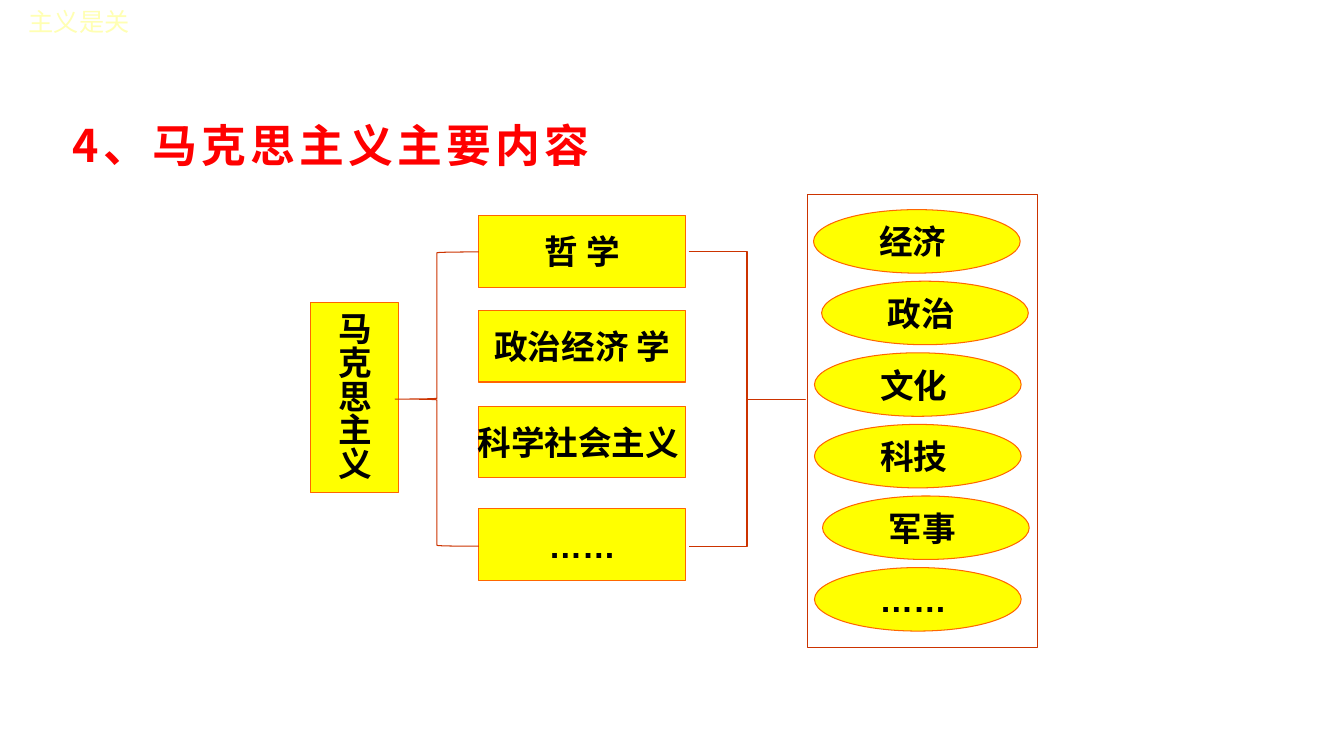
"""Build a slide that maps the main contents of Marxism."""
from pptx import Presentation, util as u
from pptx.dml.color import RGBColor
from pptx.enum import shapes, text
from pptx.oxml.ns import qn
from lxml import etree

theme = {
    "fill": "FFFF00", "edge": "FF6600", "link": "CC3300", "ink": "000000",
    "head": "FF0000", "pale": "FFFFB3", "thin": 0.75,
    "latin": "Arial", "cjk": "Noto Sans CJK SC", "title": "Noto Sans CJK JP",
    "big": 32, "body": 24, "small": 18,
}
kind = shapes.MSO_SHAPE

deck = Presentation()
deck.slide_width, deck.slide_height = u.Inches(13.33), u.Inches(7.5)
col, row = deck.slide_width / 100, deck.slide_height / 100
slide = deck.slides.add_slide(deck.slide_layouts[6])


def write(box, words, size, ink, font, east, bold=True):
    """Put one styled line of text in a box."""
    frame = box.text_frame
    frame.text = words
    frame.word_wrap = False
    frame.vertical_anchor = text.MSO_ANCHOR.MIDDLE
    run = frame.paragraphs[0].runs[0]
    run.font.size, run.font.bold, run.font.name = u.Pt(size), bold, font
    run.font.color.rgb = RGBColor.from_string(ink)
    etree.SubElement(run.font._element, qn("a:ea")).set("typeface", east)
    return run


def draw(form, left, top, wide, high, edge, words="", font=theme["latin"]):
    """Draw a shape on the percent grid, filled if it has words."""
    item = slide.shapes.add_shape(form, *map(int, (left * col, top * row, wide * col, high * row)))
    item.shadow.inherit = False
    item.line.color.rgb = RGBColor.from_string(edge)
    item.line.width = u.Pt(theme["thin"])
    if words:
        item.fill.solid()
        item.fill.fore_color.rgb = RGBColor.from_string(theme["fill"])
        write(item, words, theme["body"], theme["ink"], font, theme["cjk"])
        item.text_frame.paragraphs[0].alignment = text.PP_ALIGN.CENTER
    else:
        item.fill.background()
    return item


note = slide.shapes.add_textbox(int(1.4 * col), 0, int(10 * col), int(5.6 * row))
write(note, "主义是关", theme["small"], theme["pale"], theme["latin"], theme["cjk"], False)

title = slide.shapes.add_textbox(*map(int, (4.65 * col, 14.93 * row, 73 * col, 8.4 * row)))
head = write(title, "4、马克思主义主要内容", theme["big"], theme["head"], theme["title"], theme["title"])
head.font._element.set("spc", "300")
title.text_frame.word_wrap = True

parts = [("哲 学", 28.53), ("政治经济 学", 41.07), ("科学社会主义 ", 53.73), ("……", 67.33)]
for words, top in parts:
    draw(kind.RECTANGLE, 35.63, top, 15.38, 9.47, theme["edge"], words)

fields = [("经济 ", 60.53), ("政治 ", 61.13), ("文化 ", 60.6),
          ("科技 ", 60.6), ("军事 ", 61.2), ("…… ", 60.6)]
for step, (words, left) in enumerate(fields):
    font = theme["latin"] if "…" in words else theme["cjk"]
    draw(kind.OVAL, left, 27.73 + 9.47 * step, 15.38, 8.4, theme["edge"], words, font)

right = draw(kind.RIGHT_BRACE, 51.23, 33.33, 8.7, 38.93, theme["link"])
right.adjustments[0], right.adjustments[1] = 0, 0.5

draw(kind.RECTANGLE, 60.08, 25.73, 17.1, 59.87, theme["link"])

root = draw(kind.RECTANGLE, 23.1, 40, 6.55, 25.2, theme["edge"], "马克思主义")
root.text_frame._txBody.bodyPr.set("vert", "eaVert")

left = draw(kind.LEFT_BRACE, 29.4, 33.33, 6.23, 38.93, theme["link"])
left.adjustments[0], left.adjustments[1] = 0.01, 0.5

deck.save("out.pptx")
